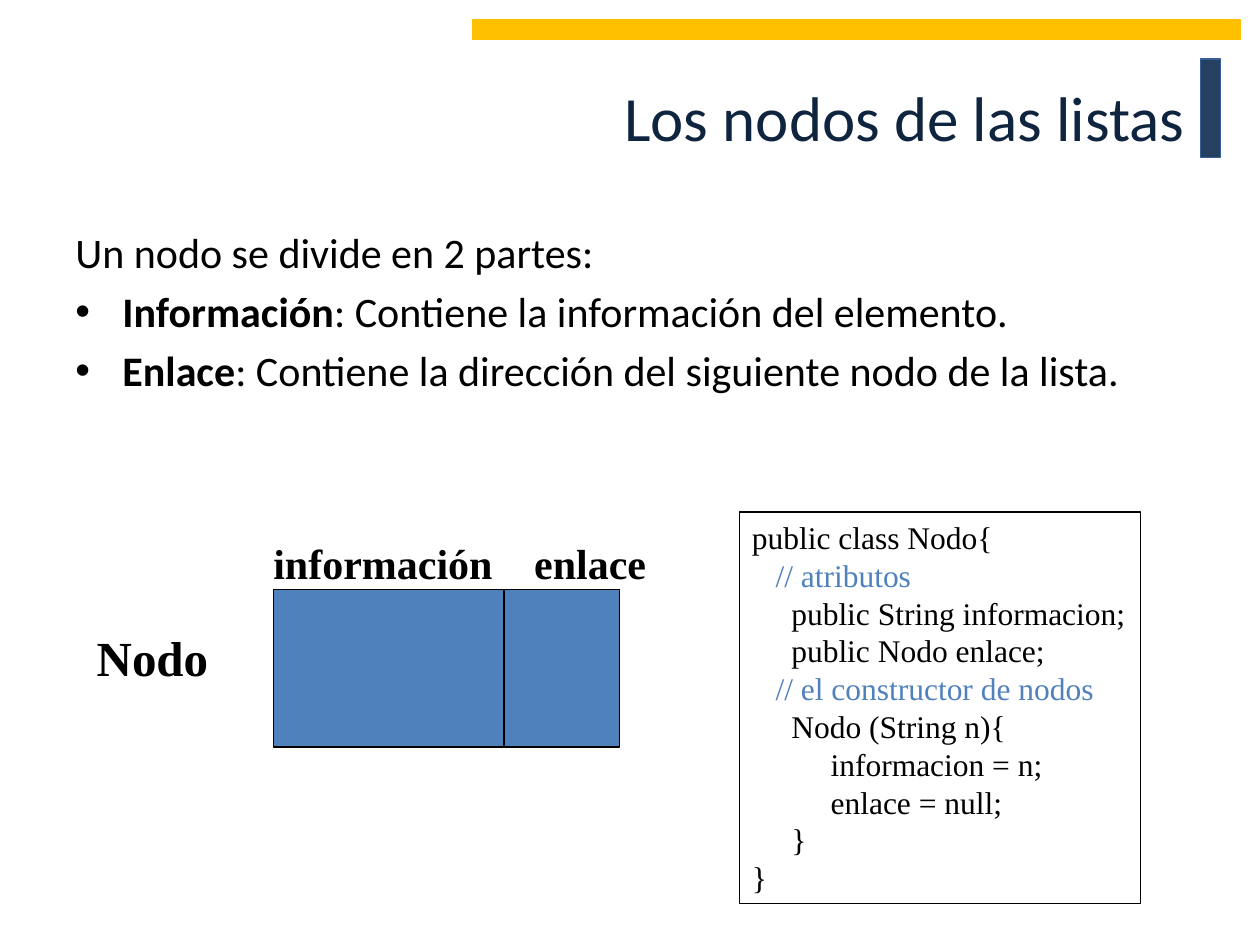
"""Build the slide that explains the nodes of a linked list."""
from lxml import etree
from pptx import Presentation
from pptx.dml.color import RGBColor
from pptx.enum.shapes import MSO_CONNECTOR, MSO_SHAPE
from pptx.enum.text import MSO_ANCHOR, PP_ALIGN
from pptx.oxml.ns import qn
from pptx.util import Cm, Pt

RECTANGLE = MSO_SHAPE.RECTANGLE
STRAIGHT = MSO_CONNECTOR.STRAIGHT
TOP, MIDDLE = MSO_ANCHOR.TOP, MSO_ANCHOR.MIDDLE
LEFT, RIGHT, JUSTIFY = PP_ALIGN.LEFT, PP_ALIGN.RIGHT, PP_ALIGN.JUSTIFY

BLACK = RGBColor(0x00, 0x00, 0x00)
NAVY = RGBColor(0x25, 0x40, 0x61)
NAVY_EDGE = RGBColor(0x37, 0x60, 0x92)
TITLE_INK = RGBColor(0x0F, 0x24, 0x3E)
GOLD = RGBColor(0xFF, 0xC0, 0x00)
BLUE = RGBColor(0x4F, 0x81, 0xBD)

SANS, SERIF = "Calibri", "Times New Roman"

PARTS = [
    ("Información", "Contiene la información del elemento."),
    ("Enlace", "Contiene la dirección del siguiente nodo de la lista."),
]
CODE = """public class Nodo{
   // atributos
     public String informacion;
     public Nodo enlace;
   // el constructor de nodos
     Nodo (String n){
          informacion = n;
          enlace = null;
     }
}"""


class SlideBuilder:
    def __init__(self, page, edge=Pt(0.75)):
        self.page = page
        self.edge = edge

    def rectangle(self, left, top, width, height, fill, line):
        box = self.page.shapes.add_shape(RECTANGLE, Cm(left), Cm(top), Cm(width), Cm(height))
        box.shadow.inherit = False
        if fill is None:
            box.fill.background()
        else:
            box.fill.solid()
            box.fill.fore_color.rgb = fill
        box.line.color.rgb = line
        box.line.width = self.edge
        return box

    def divider(self, x, top, bottom):
        line = self.page.shapes.add_connector(STRAIGHT, Cm(x), Cm(top), Cm(x), Cm(bottom))
        line.line.color.rgb = BLACK
        line.line.width = self.edge
        etree.SubElement(line._element.spPr, qn("a:effectLst"))

    def font(self, span, name, size, color=BLACK, bold=False):
        span.font.name = name
        span.font.size = Pt(size)
        span.font.color.rgb = color
        span.font.bold = bold

    def text(self, left, top, width, height, text, name, size,
             color=BLACK, bold=False, align=LEFT, anchor=TOP):
        box = self.page.shapes.add_textbox(Cm(left), Cm(top), Cm(width), Cm(height))
        frame = box.text_frame
        frame.word_wrap = True
        frame.vertical_anchor = anchor
        frame.text = text
        para = frame.paragraphs[0]
        para.alignment = align
        self.font(para.runs[0], name, size, color, bold)
        return frame

    def bullet(self, frame, term, meaning, size):
        para = frame.add_paragraph()
        para.alignment = JUSTIFY
        para.space_before = Pt(0.2 * size)
        props = para._p.get_or_add_pPr()
        props.set("marL", str(Cm(0.95)))
        props.set("indent", str(-Cm(0.95)))
        etree.SubElement(props, qn("a:buFont"), typeface="Arial")
        etree.SubElement(props, qn("a:buChar"), char="•")
        for text, bold in ((term, True), (": " + meaning, False)):
            span = para.add_run()
            span.text = text
            self.font(span, SANS, size, bold=bold)

    def code(self, left, top, width, height, source, size):
        frame = self.rectangle(left, top, width, height, None, BLACK).text_frame
        frame.word_wrap = False
        frame.vertical_anchor = TOP
        frame.text = source
        for para in frame.paragraphs:
            para.alignment = LEFT
            color = BLUE if "//" in para.text else BLACK
            self.font(para.runs[0], SERIF, size, color)


def main():
    deck = Presentation()
    deck.slide_width, deck.slide_height = Cm(25.4), Cm(19.05)
    builder = SlideBuilder(deck.slides.add_slide(deck.slide_layouts[6]))

    builder.rectangle(24.2, 1.19, 0.4, 1.98, NAVY, NAVY_EDGE)
    builder.rectangle(9.53, 0.4, 15.47, 0.4, GOLD, GOLD)
    builder.text(1.27, 0.76, 22.86, 3.18, "Los nodos de las listas", SANS, 36,
                 TITLE_INK, align=RIGHT, anchor=MIDDLE)

    body = builder.text(1.27, 4.45, 22.86, 12.57, "Un nodo se divide en 2 partes:",
                        SANS, 24, align=JUSTIFY)
    for term, meaning in PARTS:
        builder.bullet(body, term, meaning, 24)

    node_top, node_height = 11.88, 3.18
    builder.rectangle(5.51, node_top, 6.98, node_height, BLUE, BLACK)
    builder.divider(10.16, node_top, node_top + node_height)
    for left, width, label in ((5.26, 5.2, "información"), (10.52, 2.8, "enlace")):
        builder.text(left, 10.72, width, 1.27, label, SERIF, 24, bold=True)
    builder.text(1.7, 12.52, 2.97, 1.45, "Nodo", SERIF, 28, bold=True)

    builder.code(14.91, 10.32, 8.08, 7.9, CODE, 18)
    deck.save("out.pptx")


if __name__ == "__main__":
    main()
